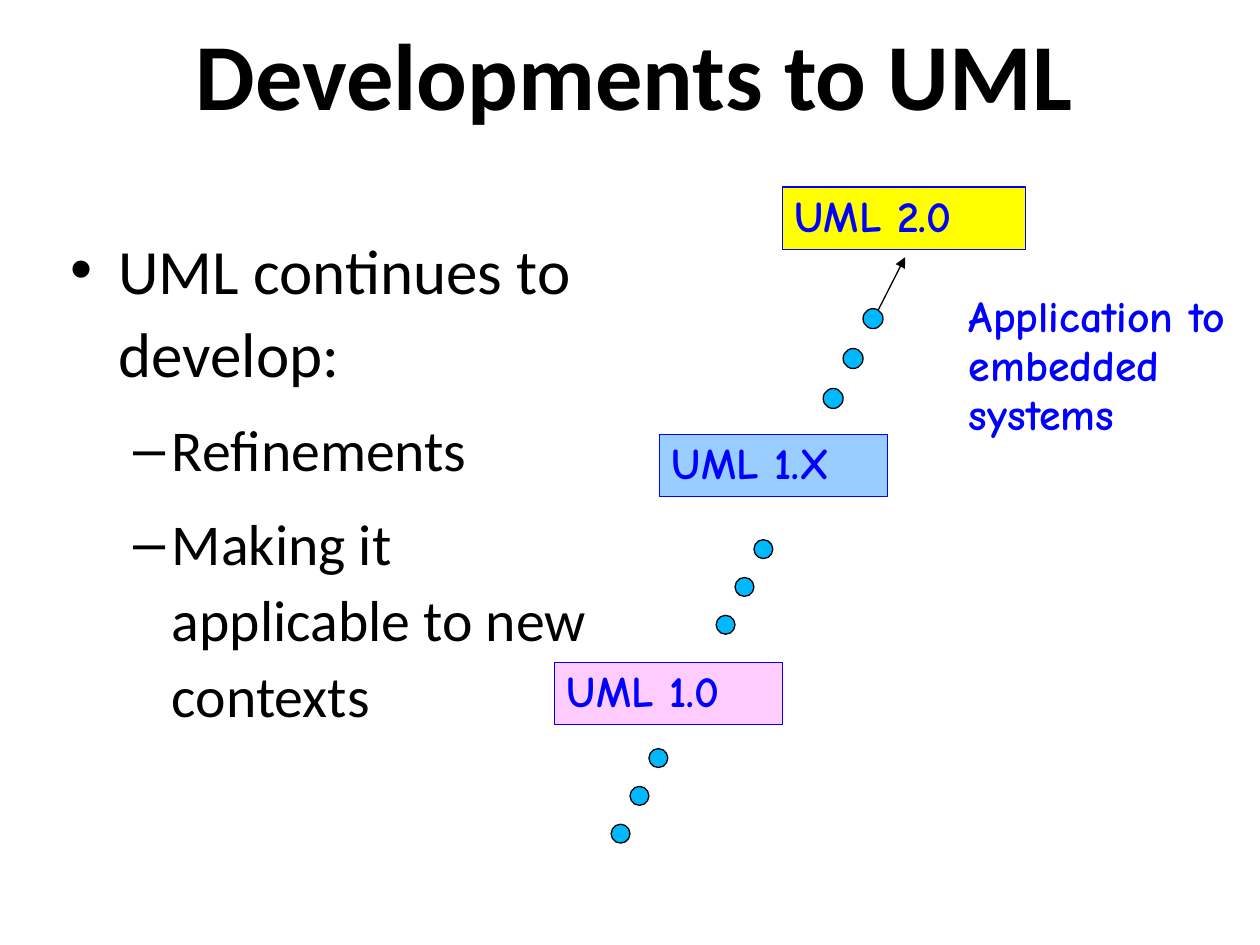
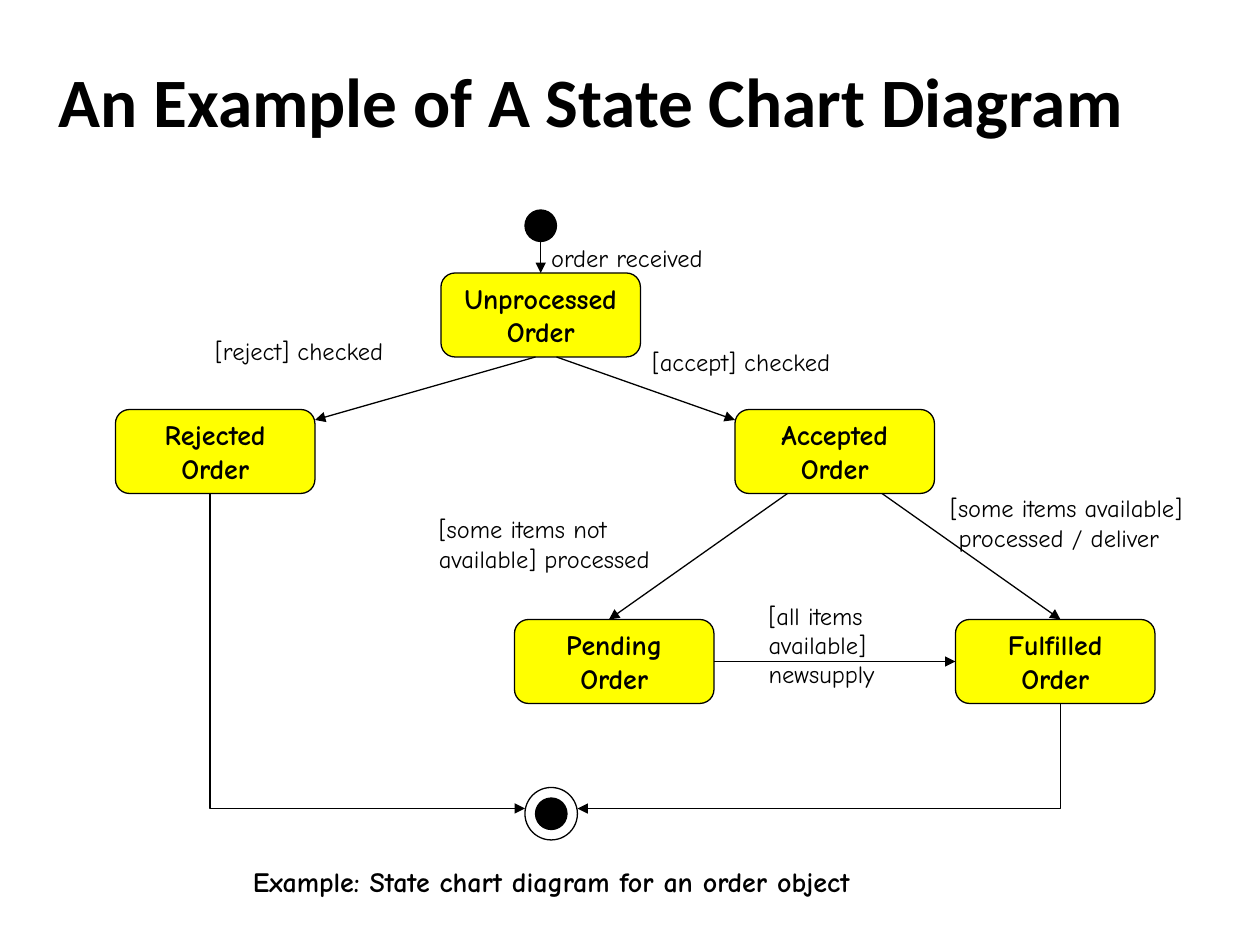
from lxml.etree import SubElement
from pptx import Presentation
from pptx.dml.color import RGBColor
from pptx.enum.shapes import MSO_CONNECTOR, MSO_SHAPE
from pptx.enum.text import MSO_ANCHOR, PP_ALIGN
from pptx.oxml.ns import qn
from pptx.util import Pt

PX = 7620  # EMU per px, 120 px to the inch
BLACK = RGBColor(0x00, 0x00, 0x00)
BLUE = RGBColor(0x00, 0x00, 0xFF)
CYAN = RGBColor(0x00, 0xB8, 0xFF)
SKY = RGBColor(0x99, 0xCC, 0xFF)
PINK = RGBColor(0xFF, 0xCC, 0xFF)
YELLOW = RGBColor(0xFF, 0xFF, 0x00)
HEAD_FONT, NOTE_FONT = "Calibri", "Comic Neue"
LEFT, CENTER = PP_ALIGN.LEFT, PP_ALIGN.CENTER
TOP, MIDDLE = MSO_ANCHOR.TOP, MSO_ANCHOR.MIDDLE
STRAIGHT = MSO_CONNECTOR.STRAIGHT


def write(sp, lines, size, color=BLACK, bold=False, font=NOTE_FONT,
          align=LEFT, anchor=TOP, spacing=1.0, inset=(12, 6)):
    """Fill a shape with one paragraph per line of text."""
    tf = sp.text_frame
    tf.word_wrap = True
    tf.vertical_anchor = anchor
    tf.margin_left = tf.margin_right = inset[0] * PX
    tf.margin_top = tf.margin_bottom = inset[1] * PX
    for i, line in enumerate(lines):
        p = tf.add_paragraph() if i else tf.paragraphs[0]
        p.alignment = align
        p.line_spacing = spacing
        r = p.add_run()
        r.text = line
        r.font.size, r.font.bold, r.font.name = Pt(size), bold, font
        r.font.color.rgb = color
    return tf.paragraphs


def style(sp, line=BLACK, fill=None, arrow=False):
    """Outline a shape or connector, without shadow."""
    sp.line.color.rgb = line
    sp.line.width = Pt(0.75)
    if arrow:
        SubElement(sp.line._get_or_add_ln(), qn("a:tailEnd"), type="triangle")
    if fill is not None:
        sp.fill.solid()
        sp.fill.fore_color.rgb = fill
    SubElement(sp._element.spPr, qn("a:effectLst"))


prs = Presentation()
prs.slide_width, prs.slide_height = 1200 * PX, 900 * PX

# Titles of both slides
titles = [
    ("Developments to UML", 54, (92, -25, 1024, 200), 0.92, (12, 6)),
    ("An Example of A State Chart Diagram", 39.6, (53, 18, 1020, 162), 0.94, (2, 6)),
]
for title, size, box, spacing, inset in titles:
    s = prs.slides.add_slide(prs.slide_layouts[6])
    sp = s.shapes.add_textbox(*(v * PX for v in box))
    write(sp, [title], size, bold=True, font=HEAD_FONT, align=CENTER,
          anchor=MIDDLE, spacing=spacing, inset=inset)
history, states = (s.shapes for s in prs.slides)

# Slide 1: bullets
sp = history.add_textbox(55 * PX, 207 * PX, 535 * PX, 598 * PX)
bullets = ["UML continues to develop:", "Refinements",
           "Making it applicable to new contexts"]
for i, p in enumerate(write(sp, bullets, 33, font=HEAD_FONT, spacing=1.1)):
    margin, hang, mark = (97, 37, "–") if i else (46, 46, "•")
    p.space_after = Pt(5)
    if i:
        p.space_before = Pt(5)
    else:
        p.runs[0].font.size = Pt(36)
    pPr = p._p.get_or_add_pPr()
    pPr.set("marL", str(margin * PX))
    pPr.set("indent", str(-hang * PX))
    SubElement(pPr, qn("a:buFont"), typeface="Arial")
    SubElement(pPr, qn("a:buChar"), char=mark)

# Slide 1: versions, each with a trail of three dots: box, fill, first dot, dot size
versions = [
    ("UML 1.X", (628, 414, 217, 59), SKY, (718, 514), 18),
    ("UML 1.0", (528, 631, 217, 59), PINK, (618, 713), 18),
    ("UML 2.0", (745, 178, 232, 60), YELLOW, (822, 294), 19),
]
sp = history.add_connector(STRAIGHT, 832 * PX, 304 * PX, 862 * PX, 245 * PX)
style(sp, arrow=True)
for name, box, fill, (x, y), d in versions:
    sp = history.add_shape(MSO_SHAPE.RECTANGLE, *(v * PX for v in box))
    style(sp, BLUE, fill)
    write(sp, [name], 25, BLUE, True, spacing=0.93)
    for i in range(3):
        sp = history.add_shape(MSO_SHAPE.OVAL, (x - i * d) * PX,
                               (y + 2 * i * d) * PX, d * PX, d * PX)
        style(sp, fill=CYAN)
sp = history.add_textbox(911 * PX, 274 * PX, 289 * PX, 152 * PX)
write(sp, ["Application to embedded systems"], 25, BLUE, True, spacing=0.93)

# Slide 2: order states
places = {"Unprocessed": (420, 260), "Fulfilled": (910, 590), "Pending": (490, 590),
          "Accepted": (700, 390), "Rejected": (110, 390)}
boxes = {}
for name, (x, y) in places.items():
    sp = states.add_shape(MSO_SHAPE.ROUNDED_RECTANGLE, x * PX, y * PX, 190 * PX, 80 * PX)
    style(sp, fill=YELLOW)
    write(sp, [name, "Order"], 16, bold=True, align=CENTER, anchor=MIDDLE, inset=(13, 7))
    boxes[name] = sp

# Slide 2: start dot, end dot and its ring
for x, y, d, fill in [(500, 200, 30, BLACK), (510, 760, 30, BLACK), (500, 750, 50, None)]:
    sp = states.add_shape(MSO_SHAPE.OVAL, x * PX, y * PX, d * PX, d * PX)
    if fill is None:
        sp.fill.background()
    style(sp, fill=fill)

# Slide 2: bent arrows to the end state
for x, y, end in [(200, 470, 500), (1010, 670, 550)]:
    fb = states.build_freeform(x, y, scale=PX)
    fb.add_line_segments([(x, 770), (end, 770)], close=False)
    sp = fb.convert_to_shape()
    sp.fill.background()
    style(sp, arrow=True)

# Slide 2: straight arrows, with the joined states where they meet mid-side
arrows = [
    (510, 340, 300, 400, None, None),
    (530, 340, 700, 400, None, None),
    (750, 470, 580, 590, None, None),
    (840, 470, 1010, 590, None, None),
    (680, 630, 910, 630, ("Pending", 3), ("Fulfilled", 1)),
    (515, 230, 515, 260, None, ("Unprocessed", 0)),
]
for *ends, begin, end in arrows:
    sp = states.add_connector(STRAIGHT, *(v * PX for v in ends))
    if begin:
        sp.begin_connect(boxes[begin[0]], begin[1])
    if end:
        sp.end_connect(boxes[end[0]], end[1])
    style(sp, arrow=True)

# Slide 2: transition labels
labels = [
    (525, 231, 163, ["order received"]),
    (205, 320, 185, ["[reject] checked"]),
    (621, 330, 194, ["[accept] checked"]),
    (418, 490, 221, ["[some items not", "available] processed"]),
    (732, 572, 109, ["[all items", "available]", "newsupply"]),
    (905, 470, 240, ["[some items available]", "processed / deliver"]),
]
for x, y, w, lines in labels:
    sp = states.add_textbox(x * PX, y * PX, w * PX, 28 * len(lines) * PX)
    paragraphs = write(sp, lines, 14, inset=(0, 0))
paragraphs[1]._p.get_or_add_pPr().set("marL", str(8 * PX))

# Slide 2: caption
sp = states.add_textbox(228 * PX, 816 * PX, 696 * PX, 46 * PX)
write(sp, ["Example: State chart diagram for an order object"], 16, bold=True, inset=(13, 7))

prs.save("out.pptx")
